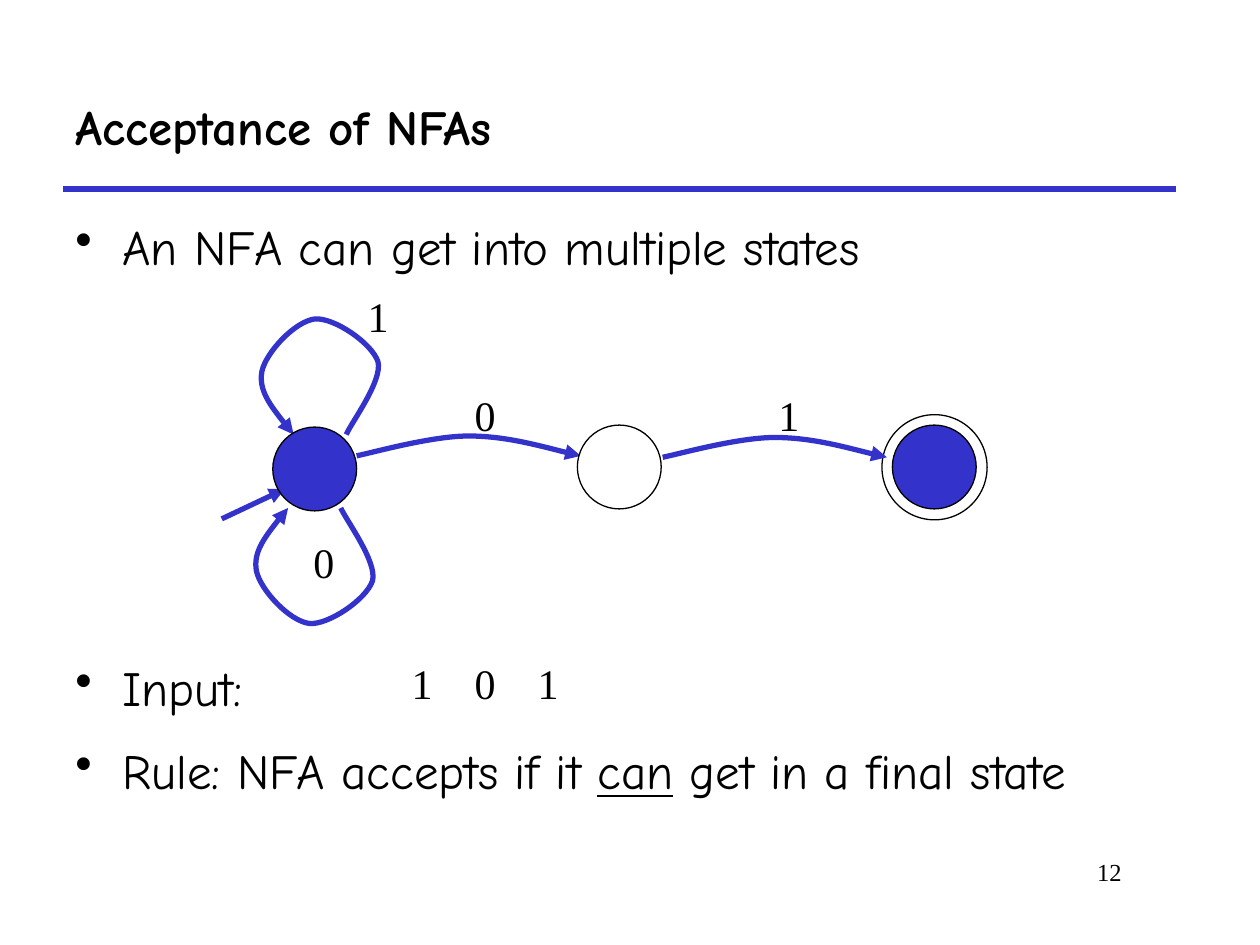
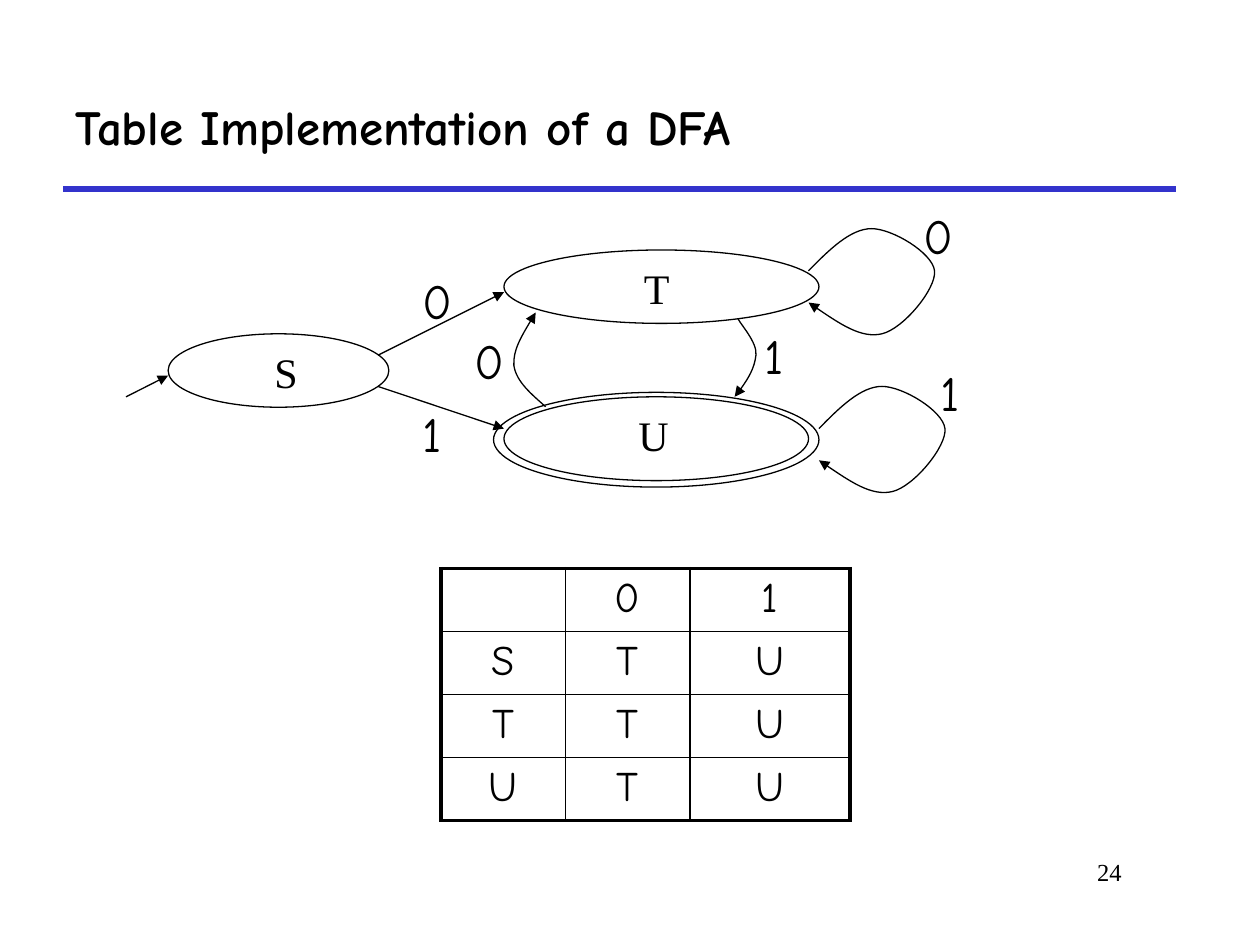
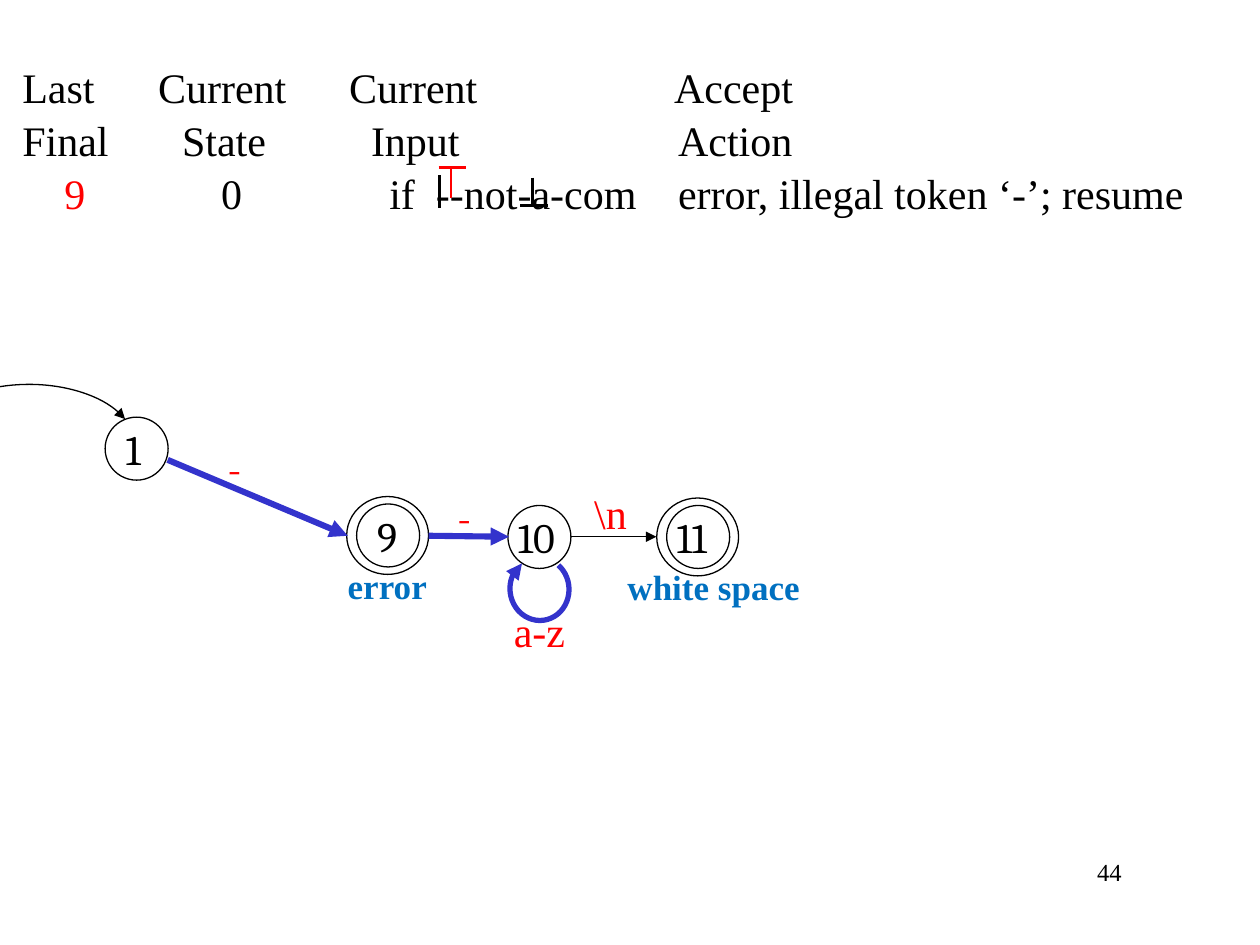
from dataclasses import dataclass

from lxml.etree import SubElement
from pptx import Presentation
from pptx.dml.color import RGBColor as Rgb
from pptx.enum.shapes import MSO_CONNECTOR, MSO_SHAPE
from pptx.enum.text import MSO_ANCHOR as Anchor, MSO_AUTO_SIZE as AutoSize, PP_ALIGN as Align
from pptx.oxml.ns import qn
from pptx.util import Cm, Pt


@dataclass(frozen=True)
class Theme:
    ink: Rgb = Rgb(0, 0, 0)
    paper: Rgb = Rgb(255, 255, 255)
    accent: Rgb = Rgb(0x33, 0x33, 0xCC)
    red: Rgb = Rgb(255, 0, 0)
    token: Rgb = Rgb(0x00, 0x70, 0xC0)
    comic: str = "Comic Neue"
    serif: str = "Times New Roman"
    digits: str = "Cambria"
    heading: int = 28
    body: int = 24
    caption: int = 20
    footer: int = 14
    thin: float = 0.75
    mark: float = 1.5
    thick: float = 3
    step: float = 3.5
    frame: float = 2.25
    grid: float = 1


THEME = Theme()


def style_font(paragraph, face=THEME.serif, size=THEME.body, color=THEME.ink, bold=False):
    font = paragraph.font
    font.name, font.size, font.bold = face, Pt(size), bold
    font.color.rgb = color


def style_line(shape, color, weight, arrow):
    shape.line.color.rgb = color
    shape.line.width = Pt(weight)
    if arrow:
        outline = shape.element.xpath(".//a:ln")[0]
        SubElement(outline, qn("a:tailEnd"), type="triangle")


def shifted(points, dx, dy):
    return [(x + dx, y + dy) for x, y in points]


@dataclass
class Region:
    """A box on a slide, in centimetres; its parts are placed from its top left corner."""
    slide: object
    left: float
    top: float
    width: float
    height: float

    def place(self, x, y):
        return Cm(self.left + x), Cm(self.top + y)

    def shape(self, kind, x, y, width, height, fill=None, color=THEME.ink,
              weight=THEME.thin, arrow=False):
        part = self.slide.shapes.add_shape(kind, *self.place(x, y), Cm(width), Cm(height))
        part.shadow.inherit = False
        if fill is None:
            part.fill.background()
        else:
            part.fill.solid()
            part.fill.fore_color.rgb = fill
        style_line(part, color, weight, arrow)
        return part

    def line(self, start, end, color=THEME.ink, weight=THEME.thin, arrow=True):
        connector = self.slide.shapes.add_connector(
            MSO_CONNECTOR.STRAIGHT, *self.place(*start), *self.place(*end))
        SubElement(connector.element.spPr, qn("a:effectLst"))
        style_line(connector, color, weight, arrow)
        # The effect list belongs after the outline.
        properties = connector.element.spPr
        properties.append(properties.find(qn("a:effectLst")))

    def curve(self, points, color=THEME.ink, weight=THEME.thin):
        """Draw an arrow through Bezier points: a start, then three for each segment."""
        start, *rest = [self.place(x, y) for x, y in points]
        builder = self.slide.shapes.build_freeform(*start)
        builder.add_line_segments(rest, close=False)
        outline = builder.convert_to_shape()
        legs = outline.element.xpath(".//a:lnTo")
        for first in range(0, len(legs), 3):
            bezier = legs[first].makeelement(qn("a:cubicBezTo"))
            legs[first].addprevious(bezier)
            for leg in legs[first:first + 3]:
                bezier.append(leg[0])
                leg.getparent().remove(leg)
        outline.shadow.inherit = False
        outline.fill.background()
        style_line(outline, color, weight, arrow=True)

    def text(self, x, y, width, height, words="", **font):
        frame = self.slide.shapes.add_textbox(
            *self.place(x, y), Cm(width), Cm(height)).text_frame
        frame.word_wrap = True
        frame.text = words
        style_font(frame.paragraphs[0], **font)
        return frame

    def label(self, x, y, words, width=0.94, height=1.27, **font):
        frame = self.text(x, y, width, height, words, **font)
        frame.word_wrap = False
        frame.auto_size = AutoSize.SHAPE_TO_FIT_TEXT


def add_heading(region, title):
    frame = region.text(0, 0, region.width, region.height, title,
                        face=THEME.comic, size=THEME.heading, bold=True)
    frame.vertical_anchor = Anchor.MIDDLE
    region.line((0, region.height), (region.width, region.height),
                THEME.accent, THEME.thick, arrow=False)


def add_page_number(region, number):
    frame = region.text(0, 0, region.width, region.height, str(number), size=THEME.footer)
    frame.paragraphs[0].alignment = Align.RIGHT


def add_bullet(region, before, underlined="", after=""):
    frame = region.slide.shapes.add_textbox(
        *region.place(0, 0), Cm(region.width), Cm(region.height)).text_frame
    frame.word_wrap = True
    paragraph = frame.paragraphs[0]
    properties = paragraph._p.get_or_add_pPr()
    properties.set("marL", str(Cm(0.95)))
    properties.set("indent", str(-Cm(0.95)))
    SubElement(properties, qn("a:buChar"), char="•")
    style_font(paragraph, face=THEME.comic, size=THEME.heading)
    for words in filter(None, (before, underlined, after)):
        run = paragraph.add_run()
        run.text = words
        if words == underlined:
            run.font.underline = True


def add_nfa(region):
    blue = dict(color=THEME.accent, weight=THEME.thick)
    for x, y, symbol in [(5.32, 2.72, "0"), (3.16, 0.74, "1"),
                         (11.44, 2.72, "1"), (2.07, 5.69, "0")]:
        region.label(x, y, symbol)
    region.shape(MSO_SHAPE.OVAL, 13.78, 3.36, 2.12, 2.12)
    region.line((0.47, 5.46), (1.74, 4.86), **blue)

    upper_loop = [(2.98, 3.76), (3.09, 3.51), (3.72, 2.67), (3.62, 2.29), (3.49, 1.91),
                  (2.73, 1.4), (2.35, 1.43), (1.94, 1.48), (1.36, 2.11), (1.28, 2.49),
                  (1.21, 2.87), (1.56, 3.33), (1.92, 3.76)]
    lower_loop = [(x - 0.11, 9 - y) for x, y in upper_loop]
    step = [(0, 0), (0.38, -0.08), (1.52, -0.4), (2.26, -0.4), (3.02, -0.4),
            (4.06, -0.1), (4.52, 0)]
    for points in (upper_loop, lower_loop, shifted(step, 3.19, 4.19), shifted(step, 9.36, 4.22)):
        region.curve(points, **blue)

    for x, y, fill in [(13.99, 3.57, THEME.accent), (1.5, 3.61, THEME.accent),
                       (7.64, 3.57, THEME.paper)]:
        region.shape(MSO_SHAPE.OVAL, x, y, 1.69, 1.69, fill)


def add_input_symbols(region, symbols):
    for index, symbol in enumerate(symbols):
        region.label(index * 1.27, 0, symbol)


def add_dfa(region):
    for x, y, width, height in [(0.89, 2.73, 4.45, 1.48), (7.66, 1.04, 6.35, 1.48),
                                (7.66, 4, 6.14, 1.69), (7.45, 3.91, 6.56, 1.91)]:
        region.shape(MSO_SHAPE.OVAL, x, y, width, height)
    for x, y, state, width in [(2.78, 2.86, "S", 0.99), (10.23, 1.16, "T", 1.02),
                               (10.12, 4.13, "U", 1.12)]:
        region.label(x, y, state, width)

    region.line((0.04, 4), (0.89, 3.57))
    region.line((5.12, 3.16), (7.66, 1.89))
    region.line((5.12, 3.79), (7.66, 4.64))

    loop = [(0, 0), (0.42, -0.43), (0.85, -0.85), (1.27, -0.85), (1.69, -0.85),
            (2.5, -0.36), (2.54, 0), (2.58, 0.36), (1.91, 1.17), (1.48, 1.27),
            (1.06, 1.37), (0.53, 1), (0, 0.64)]
    u_to_t = [(8.5, 4.2), (8.22, 3.95), (7.91, 3.7), (7.86, 3.37),
              (7.84, 3.06), (8.07, 2.68), (8.3, 2.3)]
    t_to_u = [(12.38, 2.43), (12.44, 2.55), (12.77, 2.91), (12.74, 3.16),
              (12.71, 3.42), (12.54, 3.72), (12.31, 4)]
    for points in (shifted(loop, 13.8, 1.46), shifted(loop, 14.01, 4.64), u_to_t, t_to_u):
        region.curve(points)

    widths = {"0": 1.12, "1": 0.97}
    for x, y, symbol in [(5.76, 1.33, "0"), (5.76, 4, "1"), (15.86, 0.01, "0"),
                         (16.22, 3.19, "1"), (6.82, 2.53, "0"), (12.66, 2.43, "1")]:
        region.label(x, y, symbol, widths[symbol], 1.45, face=THEME.comic, size=THEME.heading)


def add_borders(cell, outer_sides):
    cell.fill.background()
    properties = cell._tc.get_or_add_tcPr()
    for index, side in enumerate("LRTB"):
        weight = THEME.frame if side in outer_sides else THEME.grid
        border = properties.makeelement(qn(f"a:ln{side}"), w=str(Pt(weight)))
        fill = SubElement(border, qn("a:solidFill"))
        SubElement(fill, qn("a:srgbClr"), val=str(THEME.ink))
        properties.insert(index, border)


def add_transition_table(region, rows):
    last_row, last_column = len(rows) - 1, len(rows[0]) - 1
    table = region.slide.shapes.add_table(
        len(rows), len(rows[0]), *region.place(0, 0),
        Cm(region.width), Cm(region.height)).table
    table.first_row = table.horz_banding = False
    for column, width in zip(table.columns, (2.51, 2.51, 3.23)):
        column.width = Cm(width)
    for r, states in enumerate(rows):
        table.rows[r].height = Cm(region.height / len(rows))
        for c, state in enumerate(states):
            cell = table.cell(r, c)
            cell.text = state
            paragraph = cell.text_frame.paragraphs[0]
            paragraph.alignment = Align.CENTER
            style_font(paragraph, face=THEME.comic)
            edges = {"L": c == 0, "R": c == last_column, "T": r == 0, "B": r == last_row}
            add_borders(cell, [side for side, outer in edges.items() if outer])


def add_trace(region):
    """Write the scanner trace in tabbed columns, with its position marks."""
    trace = [
        ((2.74, 6.59, 13.14), ["Last\tCurrent\tCurrent\tAccept"]),
        ((3.22, 7.03, 13.22), ["Final\tState\tInput\tAction"]),
        ((0.85, 4.01, 7.4, 8.34, 13.22),
         ["\t", "9", "\t0\tif\t--not-a-com\terror, illegal token ‘-’; resume"]),
    ]
    frame = region.slide.shapes.add_textbox(
        *region.place(0, 0), Cm(region.width), Cm(region.height)).text_frame
    frame.word_wrap = True
    for index, (stops, parts) in enumerate(trace):
        paragraph = frame.add_paragraph() if index else frame.paragraphs[0]
        tabs = SubElement(paragraph._p.get_or_add_pPr(), qn("a:tabLst"))
        for stop in stops:
            SubElement(tabs, qn("a:tab"), pos=str(Cm(stop)), algn="l")
        paragraph.line_spacing = 1.05
        style_font(paragraph)
        for words in parts:
            run = paragraph.add_run()
            run.text = words
            if words == "9":
                run.font.color.rgb = THEME.red

    for start, end, color in [((8.66, 2.46), (8.66, 3.12), THEME.ink),
                              ((8.89, 2.33), (8.89, 2.92), THEME.red),
                              ((8.64, 2.31), (9.2, 2.31), THEME.red),
                              ((10.54, 2.51), (10.54, 3.04), THEME.ink),
                              ((10.29, 3.07), (10.85, 3.07), THEME.ink)]:
        region.line(start, end, color, THEME.mark, arrow=False)


def add_arc(region, x, y, width, height, start, end, rotation=0, **line):
    arc = region.shape(MSO_SHAPE.ARC, x, y, width, height, arrow=True, **line)
    arc.adjustments[0], arc.adjustments[1] = start, end
    arc.rotation = rotation


def add_scanner(region):
    diameter = 1.27
    for x, y, number, accepting in [(2.12, 0.91, "1", False), (10.24, 2.69, "10", False),
                                    (13.44, 2.69, "11", True), (7.19, 2.66, "9", True)]:
        region.shape(MSO_SHAPE.FLOWCHART_CONNECTOR, x, y, diameter, diameter)
        if accepting:
            region.shape(MSO_SHAPE.FLOWCHART_CONNECTOR, x - 0.2, y - 0.15, 1.65, 1.57)
        width = 0.94 if len(number) == 1 else 1.37
        region.label(x + (diameter - width) / 2, y, number, width, face=THEME.digits)

    region.line((3.38, 1.77), (7.01, 3.3), THEME.accent, THEME.step)
    region.line((8.64, 3.3), (10.26, 3.32), THEME.accent, THEME.step)
    region.line((11.51, 3.32), (13.23, 3.32))
    add_arc(region, 10.24, 3.78, 1.27, 1.19, 135.39, 91.61, 83,
            color=THEME.accent, weight=THEME.thick)
    add_arc(region, -1.55, 0.25, 4.27, 2.41, 138.38, 207.23)

    for x, y, symbol, width, face in [(4.34, 1.29, "-", 0.99, THEME.digits),
                                      (8.97, 2.28, "-", 0.99, THEME.digits),
                                      (11.73, 2.2, "\\n", 1.17, THEME.serif),
                                      (10.11, 4.59, "a-z", 1.55, THEME.serif)]:
        region.label(x, y, symbol, width, face=face, color=THEME.red)
    for x, y, token, width in [(12.4, 3.78, "white space", 4.01), (6.76, 3.75, "error", 2.11)]:
        region.label(x, y, token, width, 1.12,
                     size=THEME.caption, color=THEME.token, bold=True)


def new_slide(deck, number, title=None):
    slide = deck.slides.add_slide(deck.slide_layouts[6])
    if title:
        add_heading(Region(slide, 1.27, 1.27, 22.43, 2.54), title)
    add_page_number(Region(slide, 19.25, 17.15, 3.61, 1.27), number)
    return slide


def main():
    deck = Presentation()
    deck.slide_width, deck.slide_height = Cm(25.4), Cm(19.05)

    acceptance = new_slide(deck, 12, "Acceptance of NFAs")
    add_bullet(Region(acceptance, 1.27, 4.24, 23.06, 2.34),
               "An NFA can get into multiple states")
    add_nfa(Region(acceptance, 4, 5, 16, 8))
    add_bullet(Region(acceptance, 1.27, 13.13, 4.65, 1.47), "Input:")
    add_input_symbols(Region(acceptance, 8.05, 13.13, 3.5, 1.27), "101")
    add_bullet(Region(acceptance, 1.27, 14.81, 22.86, 1.47),
               "Rule: NFA accepts if it ", "can", " get in a final state")

    implementation = new_slide(deck, 24, "Table Implementation of a DFA")
    add_dfa(Region(implementation, 2.5, 4, 17.5, 6))
    add_transition_table(Region(implementation, 8.89, 11.46, 8.25, 5.08),
                         [("", "0", "1"), *((state, "T", "U") for state in "STU")])

    scanning = new_slide(deck, 44)
    add_trace(Region(scanning, 0.2, 1.07, 24.56, 5))
    add_scanner(Region(scanning, 0, 7.5, 17, 6))

    deck.save("out.pptx")


if __name__ == "__main__":
    main()
